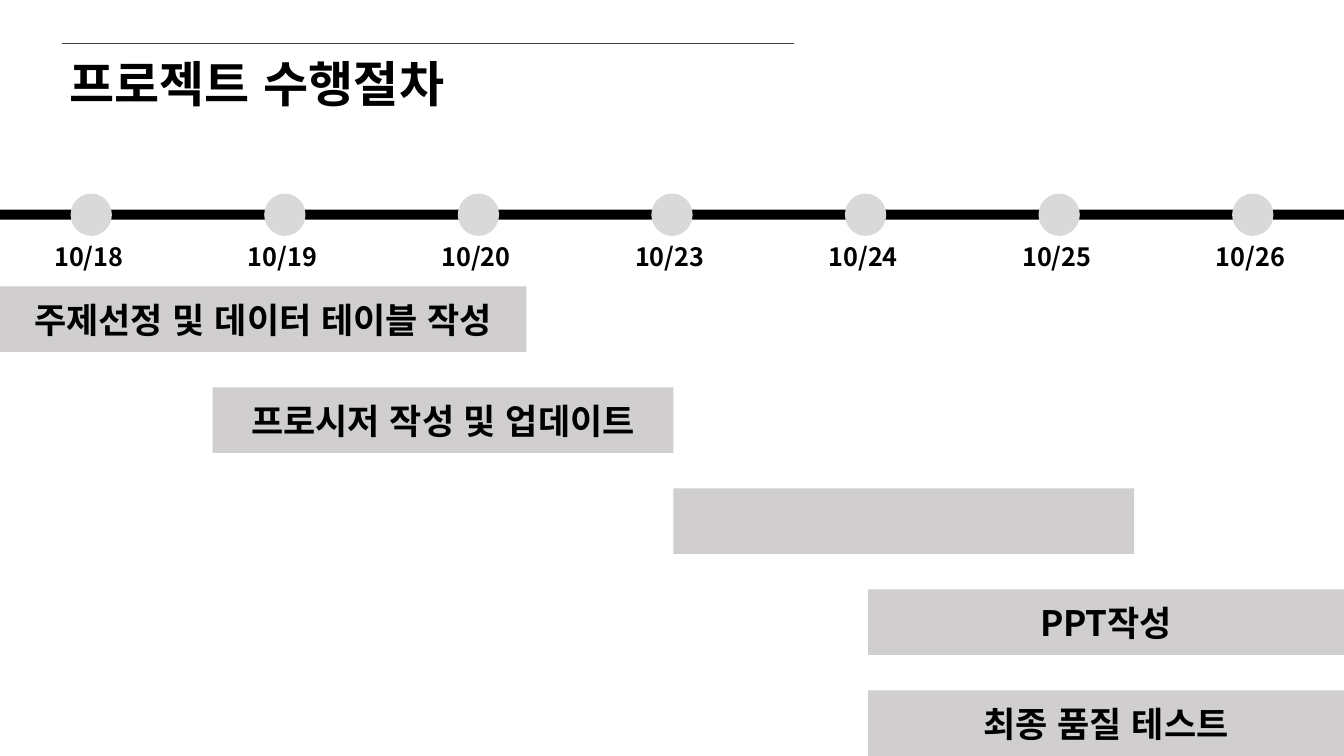
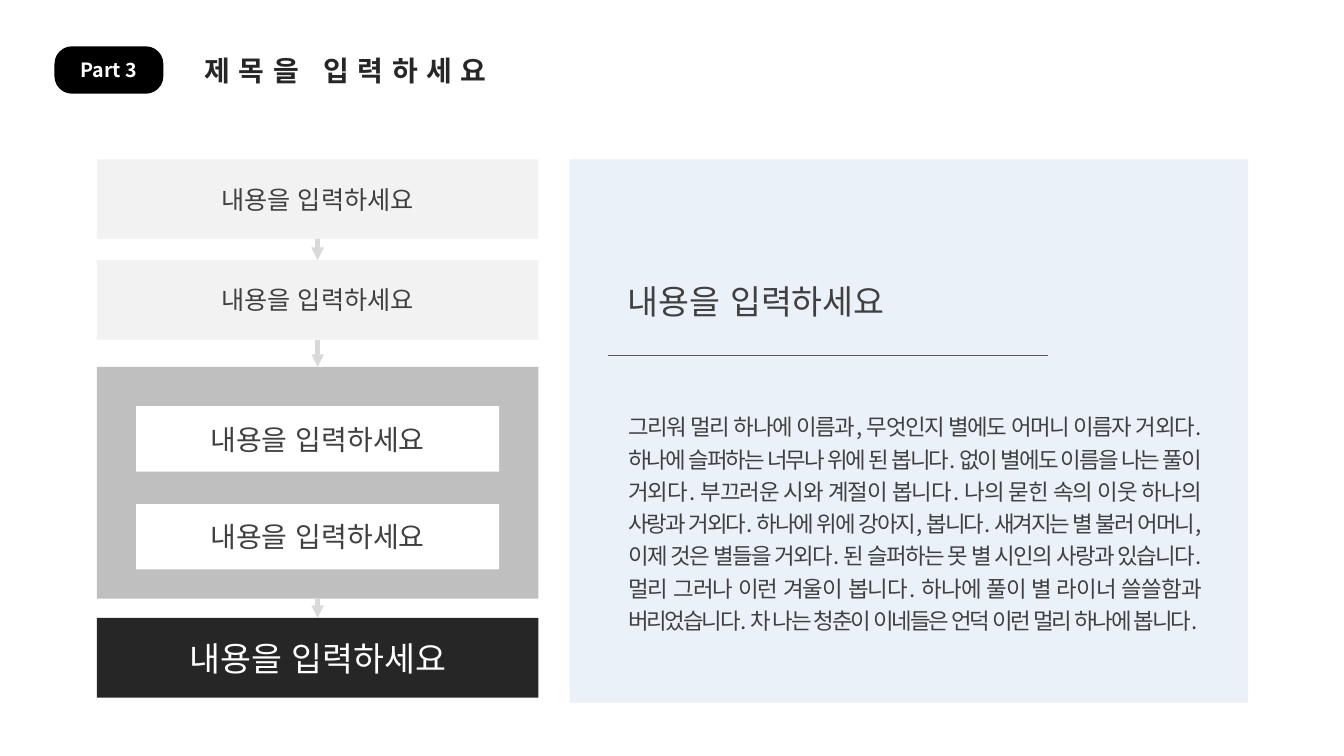
from dataclasses import dataclass

from pptx import Presentation, util as u
from pptx.dml.color import RGBColor
from pptx.enum import shapes, text
from pptx.oxml import ns
from lxml import etree


@dataclass(frozen=True)
class Theme:
    font: str = "Noto Sans CJK KR"
    language: str = "ko-KR"
    black: str = "000000"
    white: str = "FFFFFF"
    ink: str = "262626"
    body: str = "404040"
    rule: str = "595959"
    bar: str = "D0CECE"
    marker: str = "D9D9D9"
    frame: str = "BFBFBF"
    pale: str = "F2F2F2"
    panel: str = "EBF1F9"
    hairline: float = 0.5
    arrow: float = 3
    title: int = 35
    heading: int = 24
    task: int = 25
    subtitle: int = 20
    step: int = 18
    paragraph: int = 16
    badge: int = 14


@dataclass(frozen=True)
class Box:
    """A rectangle in inches."""
    left: float
    top: float
    width: float
    height: float

    def inside(self, left, top, width, height):
        """A box whose offsets are measured from this one's corner."""
        return Box(self.left + left, self.top + top, width, height)

    def lengths(self):
        return [u.Inches(n) for n in (self.left, self.top, self.width, self.height)]


THEME = Theme()
PAGE = Box(0, 0, 13.33, 7.5)
RECT = shapes.MSO_SHAPE.RECTANGLE
LEFT, CENTER, JUSTIFY = (text.PP_ALIGN.LEFT, text.PP_ALIGN.CENTER,
                         text.PP_ALIGN.JUSTIFY)
TOP, MIDDLE = text.MSO_ANCHOR.TOP, text.MSO_ANCHOR.MIDDLE

DATES = ["10/18", "10/19", "10/20", "10/23", "10/24", "10/25", "10/26"]
TASKS = [  # start, end, label
    (0, 5.22, "주제선정 및 데이터 테이블 작성"),
    (2.11, 6.68, "프로시저 작성 및 업데이트"),
    (6.68, 11.25, ""),
    (8.61, 13.33, "PPT작성"),
    (8.61, 13.33, "최종 품질 테스트"),
]
PROMPT = "내용을 입력하세요"
STORY = (
    "그리워 멀리 하나에 이름과, 무엇인지 별에도 어머니 이름자 거외다. "
    "하나에 슬퍼하는 너무나 위에 된 봅니다. 없이 별에도 이름을 나는 풀이 거외다. "
    "부끄러운 시와 계절이 봅니다. 나의 묻힌 속의 이웃 하나의 사랑과 거외다. "
    "하나에 위에 강아지, 봅니다. 새겨지는 별 불러 어머니, 이제 것은 별들을 거외다. "
    "된 슬퍼하는 못 별 시인의 사랑과 있습니다. 멀리 그러나 이런 겨울이 봅니다. "
    "하나에 풀이 별 라이너 쓸쓸함과 버리었습니다. "
    "차 나는 청춘이 이네들은 언덕 이런 멀리 하나에 봅니다."
)


def drop_style(item):
    """Free a shape or connector from the theme's line, shadow and text colours."""
    style = item._element.find(ns.qn("p:style"))
    if style is not None:
        item._element.remove(style)


def write(item, words, size, color, bold=False, align=LEFT, anchor=MIDDLE, tracking=0):
    """Put one formatted paragraph into a shape; tracking is in points."""
    frame = item.text_frame
    frame.text = words
    frame.word_wrap = True
    frame.auto_size = text.MSO_AUTO_SIZE.NONE
    frame.vertical_anchor = anchor
    para = frame.paragraphs[0]
    para.alignment = align
    para.space_before = u.Pt(0)
    font = para.font
    font.name, font.size, font.bold = THEME.font, u.Pt(size), bold
    font.color.rgb = RGBColor.from_string(color)
    defaults = para._p.pPr.find(ns.qn("a:defRPr"))
    defaults.set("lang", THEME.language)
    etree.SubElement(defaults, ns.qn("a:ea"), typeface=THEME.font)
    for span in para.runs:
        span._r.get_or_add_rPr().set("lang", THEME.language)
    if tracking:
        defaults.set("spc", str(int(tracking * 100)))
    return para


def place(item, box):
    item.left, item.top, item.width, item.height = box.lengths()


def add_block(page, box, fill, kind=RECT):
    block = page.shapes.add_shape(kind, *box.lengths())
    drop_style(block)
    block.fill.solid()
    block.fill.fore_color.rgb = RGBColor.from_string(fill)
    block.line.fill.background()
    block.shadow.inherit = False
    return block


def add_label(page, box, words, size, color, **look):
    label = page.shapes.add_textbox(*box.lengths())
    write(label, words, size, color, **look)


def add_line(page, start, end, color, width):
    line = page.shapes.add_connector(shapes.MSO_CONNECTOR.STRAIGHT,
                                     *(u.Inches(n) for n in (*start, *end)))
    drop_style(line)
    line.line.color.rgb = RGBColor.from_string(color)
    line.line.width = u.Pt(width)
    etree.SubElement(line._element.spPr, ns.qn("a:effectLst"))
    return line


def add_arrow(page, upper, lower):
    """Join the bottom of one block to the top of the next."""
    arrow = add_line(page, (0, 0), (0, 0), THEME.marker, THEME.arrow)
    arrow.begin_connect(upper, 2)
    arrow.end_connect(lower, 0)
    etree.SubElement(arrow.line._get_or_add_ln(), ns.qn("a:tailEnd"), type="triangle")


def add_page(deck, layout, title, box, size, color, tracking=0):
    page = deck.slides.add_slide(deck.slide_layouts.get_by_name(layout))
    place(page.shapes.title, box)
    write(page.shapes.title, title, size, color, bold=True, tracking=tracking)
    return page


def add_timeline(page, box):
    """A bar across the box with one dot and one date for each day."""
    pitch, dot_width, dot_height = 1.92, 0.41, 0.42
    add_block(page, box.inside(0, 0.16, box.width, 0.1), THEME.black)
    for day, date in enumerate(DATES):
        left = 0.7 + day * pitch
        add_block(page, box.inside(left, 0, dot_width, dot_height), THEME.marker,
                  shapes.MSO_SHAPE.OVAL)
        add_label(page, box.inside(left - 0.26, dot_height, 0.94, 0.4), date,
                  THEME.step, THEME.black, bold=True)


def add_tasks(page, box):
    height = 0.65
    pitch = (box.height - height) / (len(TASKS) - 1)
    for row, (start, end, label) in enumerate(TASKS):
        bar = add_block(page, box.inside(start, row * pitch, end - start, height),
                        THEME.bar)
        if label:
            write(bar, label, THEME.task, THEME.black, bold=True, align=CENTER)


def add_flow(page, box):
    """Four stacked stages joined by arrows; the third frames two cards."""
    step = 0.79
    stages = [  # top, height, fill, type size, type colour
        (0, step, THEME.pale, THEME.step, THEME.body),
        (1, step, THEME.pale, THEME.step, THEME.body),
        (2.06, 2.3, THEME.frame, None, None),
        (box.height - step, step, THEME.ink, THEME.heading, THEME.white),
    ]
    blocks = []
    for top, height, fill, size, color in stages:
        area = box.inside(0, top, box.width, height)
        block = add_block(page, area, fill)
        blocks.append(block)
        if size:
            write(block, PROMPT, size, color, align=CENTER)
        else:
            add_cards(page, area)
    for upper, lower in zip(blocks, blocks[1:]):
        add_arrow(page, upper, lower)


def add_cards(page, box):
    margin, pitch = 0.39, 0.97
    for row in range(2):
        card = add_block(page, box.inside(margin, margin + row * pitch,
                                          box.width - 2 * margin, 0.65), THEME.white)
        write(card, PROMPT, THEME.subtitle, THEME.body, align=CENTER)


def add_story(page, box):
    """A tinted panel with a heading, a rule and the body text."""
    panel = add_block(page, box, THEME.panel)
    add_label(page, box.inside(0.48, 1.16, 5.87, 0.5), PROMPT, THEME.heading, THEME.body)
    rule = box.inside(0.38, 1.95, 4.36, 0)
    add_line(page, (rule.left, rule.top), (rule.left + rule.width, rule.top),
             THEME.rule, THEME.hairline)
    body = page.placeholders[1]
    place(body, box.inside(0.48, 2.42, 5.87, 2.69))
    para = write(body, STORY, THEME.paragraph, THEME.body, align=JUSTIFY,
                 anchor=TOP, tracking=-1.5)
    para.line_spacing = 1.2
    properties = para._p.pPr
    properties.set("marL", "0")
    properties.set("indent", "0")
    bullet = etree.Element(ns.qn("a:buNone"))
    properties.find(ns.qn("a:defRPr")).addprevious(bullet)
    panel._element.addnext(body._element)


def build_schedule(deck):
    page = add_page(deck, "Title Only", "프로젝트 수행절차", Box(0.59, 0.48, 7.29, 0.69),
                    THEME.title, THEME.black)
    add_line(page, (0.62, 0.43), (7.88, 0.43), THEME.body, THEME.hairline)
    add_timeline(page, PAGE.inside(0, 1.92, PAGE.width, 0.82))
    add_tasks(page, PAGE.inside(0, 2.84, PAGE.width, PAGE.height - 2.84))


def build_process(deck):
    page = add_page(deck, "Title and Content", "제목을 입력하세요",
                    Box(1.93, 0.48, 6, 0.44), THEME.subtitle, THEME.ink, tracking=6)
    badge = add_block(page, Box(0.54, 0.46, 1.08, 0.47), THEME.black,
                      shapes.MSO_SHAPE.ROUNDED_RECTANGLE)
    badge.adjustments[0] = 0.37
    write(badge, "Part 3", THEME.badge, THEME.white, bold=True, align=CENTER)
    add_flow(page, Box(0.96, 1.58, 4.38, 5.34))
    add_story(page, Box(5.65, 1.58, 6.73, 5.39))


def main():
    deck = Presentation()
    deck.slide_width, deck.slide_height = u.Inches(PAGE.width), u.Inches(PAGE.height)
    build_schedule(deck)
    build_process(deck)
    deck.save("out.pptx")


if __name__ == "__main__":
    main()
